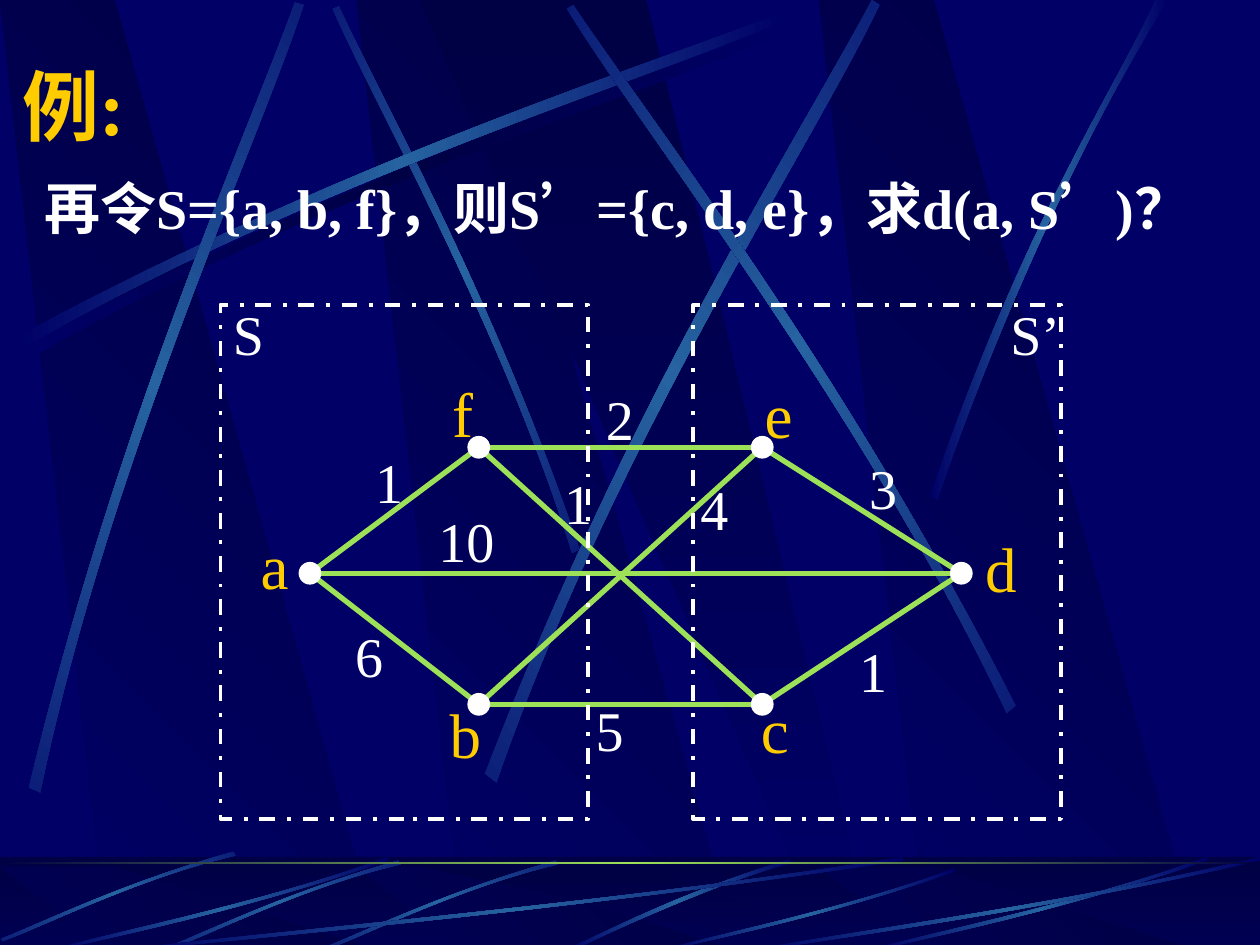
from dataclasses import dataclass
from math import cos, radians, sin

from lxml import etree
from pptx import Presentation
from pptx.dml.color import RGBColor
from pptx.enum.dml import MSO_LINE
from pptx.enum.shapes import MSO_CONNECTOR, MSO_SHAPE
from pptx.enum.text import MSO_ANCHOR, MSO_AUTO_SIZE, PP_ALIGN
from pptx.oxml.ns import qn
from pptx.util import Inches, Pt

RECTANGLE, OVAL, STRAIGHT = MSO_SHAPE.RECTANGLE, MSO_SHAPE.OVAL, MSO_CONNECTOR.STRAIGHT
DASH_DOT, FIXED = MSO_LINE.DASH_DOT, MSO_AUTO_SIZE.NONE
LEFT, TOP, MIDDLE = PP_ALIGN.LEFT, MSO_ANCHOR.TOP, MSO_ANCHOR.MIDDLE

@dataclass(frozen=True)
class Theme:
    """Colours, font and type sizes of the slide."""
    night: str = "000066"
    shade: str = "000044"
    beam: str = "2663A0"
    green: str = "9CE157"
    gold: str = "FFCC00"
    white: str = "FFFFFF"
    font: str = "Times New Roman"
    title_size: int = 44
    node_size: int = 36
    text_size: int = 32

THEME = Theme()
SHADE_STOPS = (THEME.shade, THEME.night)
BEAM_STOPS = (THEME.night, THEME.beam, THEME.night)
SHADOW_STOPS = (THEME.night, THEME.shade, THEME.night)
GLOW_STOPS = (THEME.shade, THEME.green, THEME.shade)

BAR = [(0.86, 1), (3.02, 1), (0.91, 0), (0, 0)]
WIDE_BAR = [(3.33, 0), (6.58, 1), (6.94, 1), (5.13, 0)]
BAR_OFFSETS = (2.83, 0, 6.5)
LONG_BEAM = [(0.14, 2.67), (2.78, 1.25), (5.18, 0.51), (6.2, 0.1),
             (6.23, 0.16), (5.22, 0.61), (2.48, 1.43), (0.17, 2.77)]
UPPER_BEAMS = [
    (45, [(4.6, 4.36), (3.91, 2.34), (3.02, 0.77), (2.69, 0.05),
          (2.64, 0.07), (2.95, 0.79), (3.98, 2.58), (4.54, 4.39)]),
    (0, LONG_BEAM),
    (311.7, [(0.23, 6.25), (0.93, 3.34), (1.97, 1.05), (2.34, 0.02),
             (2.41, 0.04), (2.07, 1.09), (0.86, 3.68), (0.32, 6.29)]),
    (321.6, [(3.85, 6.14), (4.98, 3.2), (6.38, 1.02), (6.92, 0),
             (6.98, 0.04), (6.49, 1.08), (4.86, 3.55), (3.94, 6.21)]),
    (34.8, [(8.06, 5.6), (6.7, 2.93), (5.16, 0.95), (4.55, 0.04),
            (4.5, 0.07), (5.07, 1.01), (6.85, 3.25), (7.99, 5.66)]),
    (0, [(7.38, 3.94), (8.14, 1.73), (8.88, 0.66), (9.17, 0),
         (9.27, 0), (8.36, 1.45), (7.69, 3.22), (7.44, 3.97)])]
STEEP_BEAM = [(6.27, 6.82), (5.37, 7.09), (4.77, 7.42), (4.48, 7.54),
              (4.53, 7.55), (4.9, 7.37), (5.71, 7), (6.28, 6.85)]
SHORT_BEAM = [(1.85, 6.76), (0.99, 7), (0.32, 7.33), (0.01, 7.45),
              (0.02, 7.47), (0.33, 7.36), (1.09, 6.97), (1.87, 6.79)]
SHORT_OFFSETS = ((2.56, 0.07), (1.31, 0.07), (0, 0))
FLOOR_BEAM = [(1, 0.04), (0.57, 0.57), (0.17, 0.85), (0, 1),
              (0, 0.98), (0.16, 0.81), (0.62, 0.5), (1, 0)]
FLOOR_SPANS = [(1, 7.17, 6.8), (0.42, 3.08, 6.8), (5.27, 7.58, 6.89), (6.92, 9.58, 6.8), (6, 10, 6.8)]

NODES = {"a": (2.46, 4.55, 1.97, 4.13), "b": (3.8, 5.59, 3.47, 5.47), "c": (6.05, 5.59, 5.94, 5.43),
         "d": (7.63, 4.55, 7.72, 4.15), "e": (6.05, 3.55, 5.97, 2.93), "f": (3.8, 3.55, 3.49, 2.92)}
EDGES = [("be", "4", 5.46, 3.72), ("fc", "1", 4.38, 3.67), ("ab", "6", 2.72, 4.88),
         ("bc", "5", 4.63, 5.47), ("cd", "1", 6.72, 5), ("ad", "10", 3.38, 3.97),
         ("af", "1", 2.88, 3.5), ("fe", "2", 4.71, 3), ("ed", "3", 6.8, 3.55)]
SETS = [("S’", 5.5, 7.92), ("S", 1.75, 1.75)]

def color(value):
    """Turn a hex string into a colour."""
    return RGBColor.from_string(value)

def paint_gradient(shape, stops, angle):
    """Fill a shape with evenly spaced stops and no outline."""
    shape.shadow.inherit = False
    shape.line.fill.background()
    shape.fill.gradient()
    gradient = shape.element.spPr.find(qn("a:gradFill"))
    gradient.set("rotWithShape", "1")
    for child in list(gradient):
        gradient.remove(child)
    stop_list = etree.SubElement(gradient, qn("a:gsLst"))
    for index, value in enumerate(stops):
        stop = etree.SubElement(stop_list, qn("a:gs"), pos=str(100000 * index // (len(stops) - 1)))
        etree.SubElement(stop, qn("a:srgbClr"), val=value)
    etree.SubElement(gradient, qn("a:lin"), ang=str(angle * 60000), scaled="0")

def add_polygon(slide, points, stops, angle):
    """Draw a closed outline with a gradient."""
    corners = [(Inches(x), Inches(y)) for x, y in points]
    builder = slide.shapes.build_freeform(*corners[0])
    builder.add_line_segments(corners[1:], close=True)
    shape = builder.convert_to_shape()
    paint_gradient(shape, stops, angle)
    return shape

def turn(x, y, degrees):
    """Rotate a point clockwise about the slide's corner."""
    angle = radians(degrees)
    return x * cos(angle) - y * sin(angle), x * sin(angle) + y * cos(angle)

def add_beam(slide, points, rotation=0, shift=(0, 0), stops=BEAM_STOPS):
    """Draw a thin beam whose two long sides are curves."""
    level = [turn(x + shift[0], y + shift[1], -rotation) for x, y in points]
    shape = add_polygon(slide, level, stops, 180)
    segments = list(shape.element.iter(qn("a:lnTo")))
    for group in (segments[:3], segments[4:7]):
        bezier = etree.Element(qn("a:cubicBezTo"))
        group[0].addprevious(bezier)
        for segment in group:
            bezier.append(segment[0])
            segment.getparent().remove(segment)
    center = turn(shape.left + shape.width / 2, shape.top + shape.height / 2, rotation)
    shape.left, shape.top = round(center[0] - shape.width / 2), round(center[1] - shape.height / 2)
    shape.rotation = rotation

def add_bars(slide, top, bottom):
    """Draw the slanted shaded bars of one band."""
    bars = [([(x + offset, y) for x, y in BAR], 135) for offset in BAR_OFFSETS]
    for bar, angle in bars + [(WIDE_BAR, 90)]:
        add_polygon(slide, [(x, top + y * (bottom - top)) for x, y in bar], SHADE_STOPS, angle)

def add_box(slide, kind, *bounds):
    """Add a preset shape without shadow."""
    shape = slide.shapes.add_shape(kind, *map(Inches, bounds))
    shape.shadow.inherit = False
    return shape

def add_backdrop(slide):
    """Draw the beams, bars and floor behind the content."""
    slide.background.fill.solid()
    slide.background.fill.fore_color.rgb = color(THEME.night)
    add_bars(slide, 0, 7.52)
    add_beam(slide, LONG_BEAM, shift=(0.06, 0.08), stops=SHADOW_STOPS)
    for rotation, points in UPPER_BEAMS:
        add_beam(slide, points, rotation)
    paint_gradient(add_box(slide, RECTANGLE, 0, 6.8, 10, 0.75), SHADE_STOPS, 90)
    add_bars(slide, 6.88, 7.55)
    veil = add_box(slide, RECTANGLE, 0, 6.8, 10, 0.75)
    veil.line.fill.background()
    veil.fill.solid()
    veil.fill.fore_color.rgb = color(THEME.shade)
    etree.SubElement(veil.element.spPr.find(qn("a:solidFill"))[0], qn("a:alpha"), val="50000")
    add_beam(slide, STEEP_BEAM)
    for shift in SHORT_OFFSETS:
        add_beam(slide, SHORT_BEAM, 314.9, shift)
    for left, right, top in FLOOR_SPANS:
        add_beam(slide, [(left + x * (right - left), top + y * (7.55 - top)) for x, y in FLOOR_BEAM])
    paint_gradient(add_box(slide, RECTANGLE, 0, 6.84, 10, 0.02), GLOW_STOPS, 180)

def style_text(frame, size, tone, bold=False):
    """Format the only paragraph of a text frame."""
    frame.paragraphs[0].alignment = LEFT
    font = frame.paragraphs[0].runs[0].font
    font.name, font.size, font.bold = THEME.font, Pt(size), bold
    font.color.rgb = color(tone)

def fill_placeholder(slide, index, text, bounds, anchor, size, tone):
    """Move, fill and format a placeholder above the backdrop."""
    shape = slide.placeholders[index]
    slide.shapes.element.append(shape.element)
    shape.left, shape.top, shape.width, shape.height = map(Inches, bounds)
    frame = shape.text_frame
    frame.text = text
    frame.auto_size, frame.vertical_anchor, frame.word_wrap = FIXED, anchor, True
    frame.paragraphs[0].space_before = Pt(0)
    properties = frame.paragraphs[0]._p.get_or_add_pPr()
    properties.set("marL", "0")
    properties.set("indent", "0")
    etree.SubElement(properties, qn("a:buNone"))
    style_text(frame, size, tone, bold=True)

def add_label(slide, text, left, top, size=THEME.text_size, tone=THEME.white):
    """Add a short label sized to its text."""
    bounds = (left, top, 0.21 + 0.22 * len(text), size / 50)
    frame = slide.shapes.add_textbox(*map(Inches, bounds)).text_frame
    frame.word_wrap = False
    frame.text = text
    style_text(frame, size, tone)

def add_edge(slide, start, end):
    """Join two nodes with a green line."""
    line = slide.shapes.add_connector(STRAIGHT, *map(Inches, start + end))
    line.line.color.rgb, line.line.width = color(THEME.green), Pt(3)
    etree.SubElement(line.element.spPr, qn("a:effectLst"))

def add_node(slide, x, y, size=0.17):
    """Add a white dot centred on a point."""
    dot = add_box(slide, OVAL, x - size / 2, y - size / 2, size, size)
    dot.fill.solid()
    dot.fill.fore_color.rgb = dot.line.color.rgb = color(THEME.white)
    dot.line.width = Pt(0.75)

def add_set(slide, name, left, label_left):
    """Add the dashed frame of a vertex set and its name."""
    frame = add_box(slide, RECTANGLE, left, 2.42, 2.92, 4.08)
    frame.fill.background()
    frame.line.color.rgb, frame.line.width = color(THEME.white), Pt(2.25)
    frame.line.dash_style = DASH_DOT
    add_label(slide, name, label_left, 2.33)

def main():
    """Build the slide and save it."""
    presentation = Presentation()
    presentation.slide_width, presentation.slide_height = Inches(10), Inches(7.5)
    slide = presentation.slides.add_slide(presentation.slide_layouts[1])
    add_backdrop(slide)
    fill_placeholder(slide, 0, "例:", (0.08, 0.41, 8.92, 0.84), MIDDLE, THEME.title_size, THEME.gold)
    fill_placeholder(slide, 1, "再令S={a, b, f}，则S’={c, d, e}，求d(a, S’)？",
                     (0.25, 1.33, 9.5, 1.33), TOP, THEME.text_size, THEME.white)
    for (start, end), weight, left, top in EDGES:
        add_edge(slide, NODES[start][:2], NODES[end][:2])
        add_label(slide, weight, left, top)
    for name, (x, y, left, top) in NODES.items():
        add_node(slide, x, y)
        add_label(slide, name, left, top, THEME.node_size, THEME.gold)
    for vertex_set in SETS:
        add_set(slide, *vertex_set)
    presentation.save("out.pptx")

if __name__ == "__main__":
    main()
